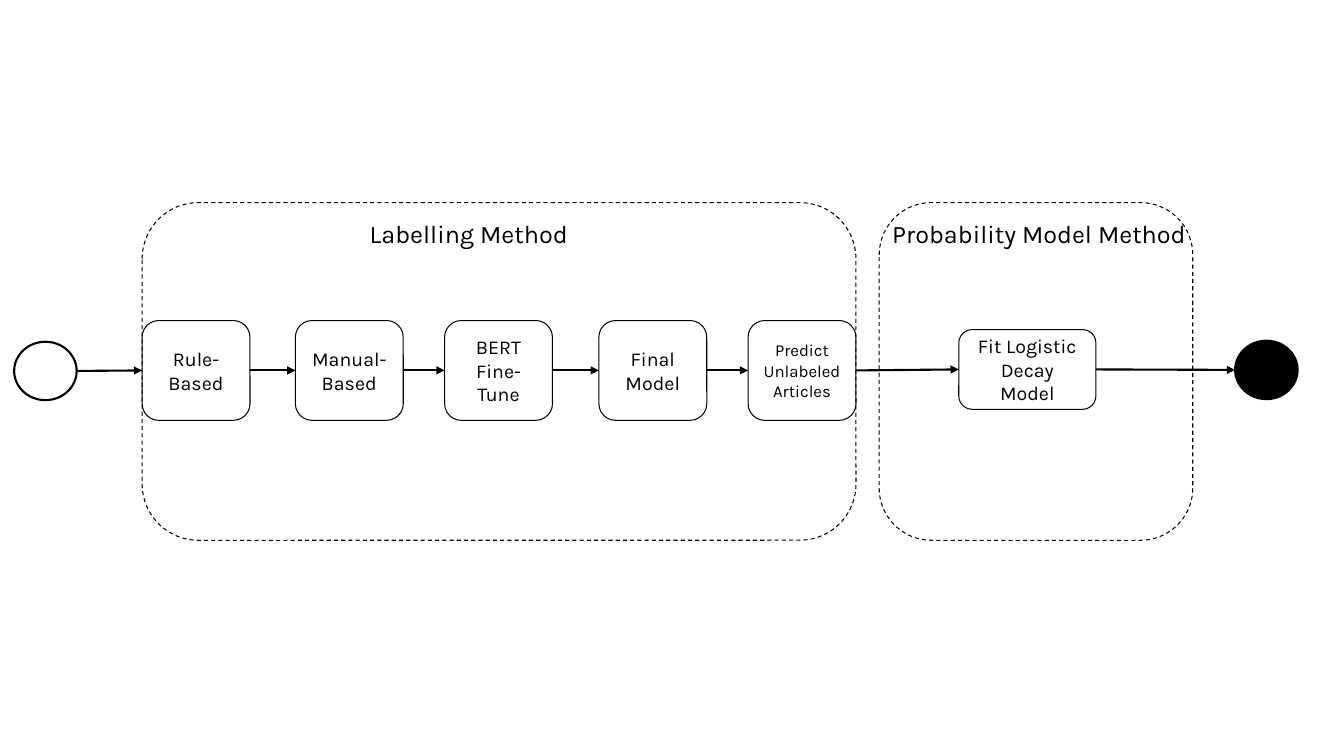
import pptx
import pptx.dml.color
import pptx.enum.dml
import pptx.enum.shapes
import pptx.enum.text
import pptx.oxml
import pptx.oxml.ns
import pptx.util

Inches = pptx.util.Inches
Pt = pptx.util.Pt
FORM = pptx.enum.shapes.MSO_SHAPE
BLACK = pptx.dml.color.RGBColor(0x00, 0x00, 0x00)
WHITE = pptx.dml.color.RGBColor(0xFF, 0xFF, 0xFF)
THIN, THICK = Pt(0.75), Pt(1.5)
DASH = {"dash_style": pptx.enum.dml.MSO_LINE.DASH}

STEPS = [
    (0, "Rule-Based", 14),
    (1.52, "Manual-Based", 14),
    (3, "BERT Fine-Tune", 14),
    (4.53, "Final Model", 14),
    (6.01, "Predict Unlabeled Articles", 12),
]


def style(item, values):
    """Set each named value on the item."""
    for name, value in values.items():
        setattr(item, name, value)


def write(shape, text, size):
    """Put centred text into a shape."""
    frame = shape.text_frame
    frame.word_wrap = True
    para = frame.paragraphs[0]
    para.text = text
    para.alignment = pptx.enum.text.PP_ALIGN.CENTER
    style(para.runs[0].font, {"name": "Karla", "size": Pt(size)})
    para.runs[0].font.color.rgb = BLACK


def draw(slide, form, box, width, fill=None, dash=None):
    """Add an outlined shape in the given box."""
    shape = slide.shapes.add_shape(form, *map(Inches, box))
    shape.shadow.inherit = False
    if fill is None:
        shape.fill.background()
    else:
        shape.fill.solid()
        shape.fill.fore_color.rgb = fill
    shape.line.color.rgb = BLACK
    style(shape.line, {"width": width, **(dash or {})})
    return shape


def step(slide, box, text, size):
    """Add one rounded step with its label."""
    shape = draw(slide, FORM.ROUNDED_RECTANGLE, box, THIN)
    shape.text_frame.vertical_anchor = pptx.enum.text.MSO_ANCHOR.MIDDLE
    write(shape, text, size)
    return shape


def frame(slide, box, text, head):
    """Add a dashed frame with a heading at an offset and width."""
    left, top = box[:2]
    draw(slide, FORM.ROUNDED_RECTANGLE, box, THIN, dash=DASH)
    shift, width = head
    label = slide.shapes.add_textbox(
        *map(Inches, (left + shift, top + 0.11, width, 0.4)))
    write(label, text, 18)


def label_part(slide, box):
    """Add the labelling frame and return its steps."""
    left, top = box[:2]
    frame(slide, box, "Labelling Method", (2.11, 2.26))
    return [step(slide, (left + shift, top + 1.17, 1.07, 0.99), text, size)
            for shift, text, size in STEPS]


def model_part(slide, box):
    """Add the probability frame and return its step."""
    left, top = box[:2]
    frame(slide, box, "Probability Model Method", (-0.06, 3.29))
    return step(slide, (left + 0.79, top + 1.26, 1.36, 0.79),
                "Fit Logistic Decay Model", 14)


def arrow(slide, start, end):
    """Join the right side of one shape to the left of the next."""
    line = slide.shapes.add_connector(
        pptx.enum.shapes.MSO_CONNECTOR.STRAIGHT,
        start.left + start.width, start.top + start.height // 2,
        end.left, end.top + end.height // 2)
    line.line.color.rgb = BLACK
    line.line.width = THICK
    tip = pptx.oxml.ns.qn("a:tailEnd")
    line.line._get_or_add_ln().append(
        pptx.oxml.xmlchemy.OxmlElement("a:tailEnd"))
    line.line._get_or_add_ln().find(tip).set("type", "triangle")
    line._element.spPr.append(
        pptx.oxml.xmlchemy.OxmlElement("a:effectLst"))


def flow(slide, box):
    """Add the whole flow from start to end circle."""
    left, top = box[:2]
    first = draw(slide, FORM.OVAL, (left, top + 1.38, 0.62, 0.58),
                 THICK, WHITE)
    steps = label_part(slide, (left + 1.27, top, 7.08, 3.35))
    model = model_part(slide, (left + 8.58, top, 3.11, 3.35))
    last = draw(slide, FORM.OVAL, (left + 12.11, top + 1.37, 0.62, 0.58),
                THICK, BLACK)
    chain = [first, *steps, model, last]
    for start, end in zip(chain, chain[1:]):
        arrow(slide, start, end)


def main():
    """Build and save the slide."""
    deck = pptx.Presentation()
    style(deck, {"slide_width": Inches(13.33), "slide_height": Inches(7.5)})
    slide = deck.slides.add_slide(deck.slide_layouts[6])
    flow(slide, (0.14, 2.01, 12.73, 3.35))
    deck.save("out.pptx")


if __name__ == "__main__":
    main()
